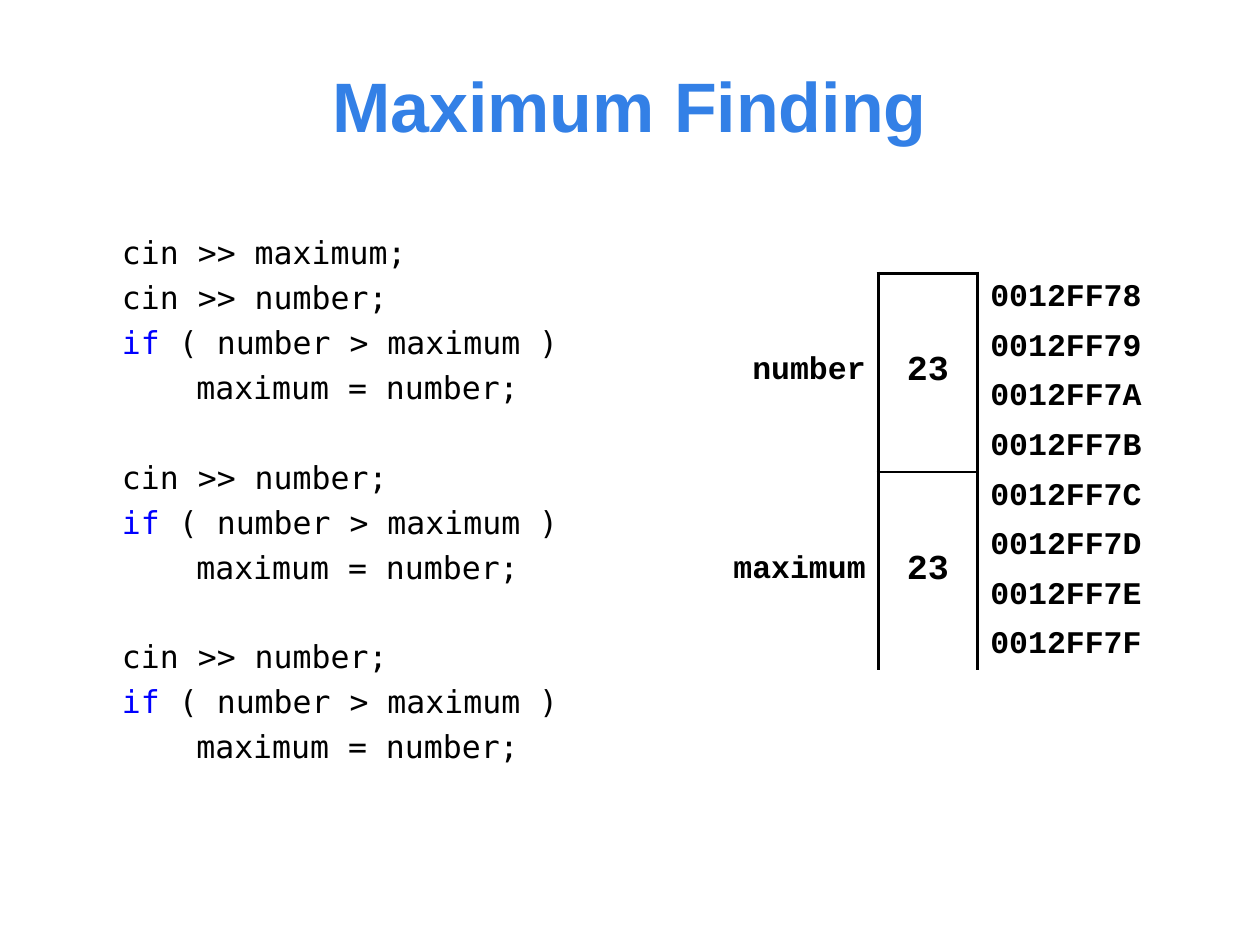
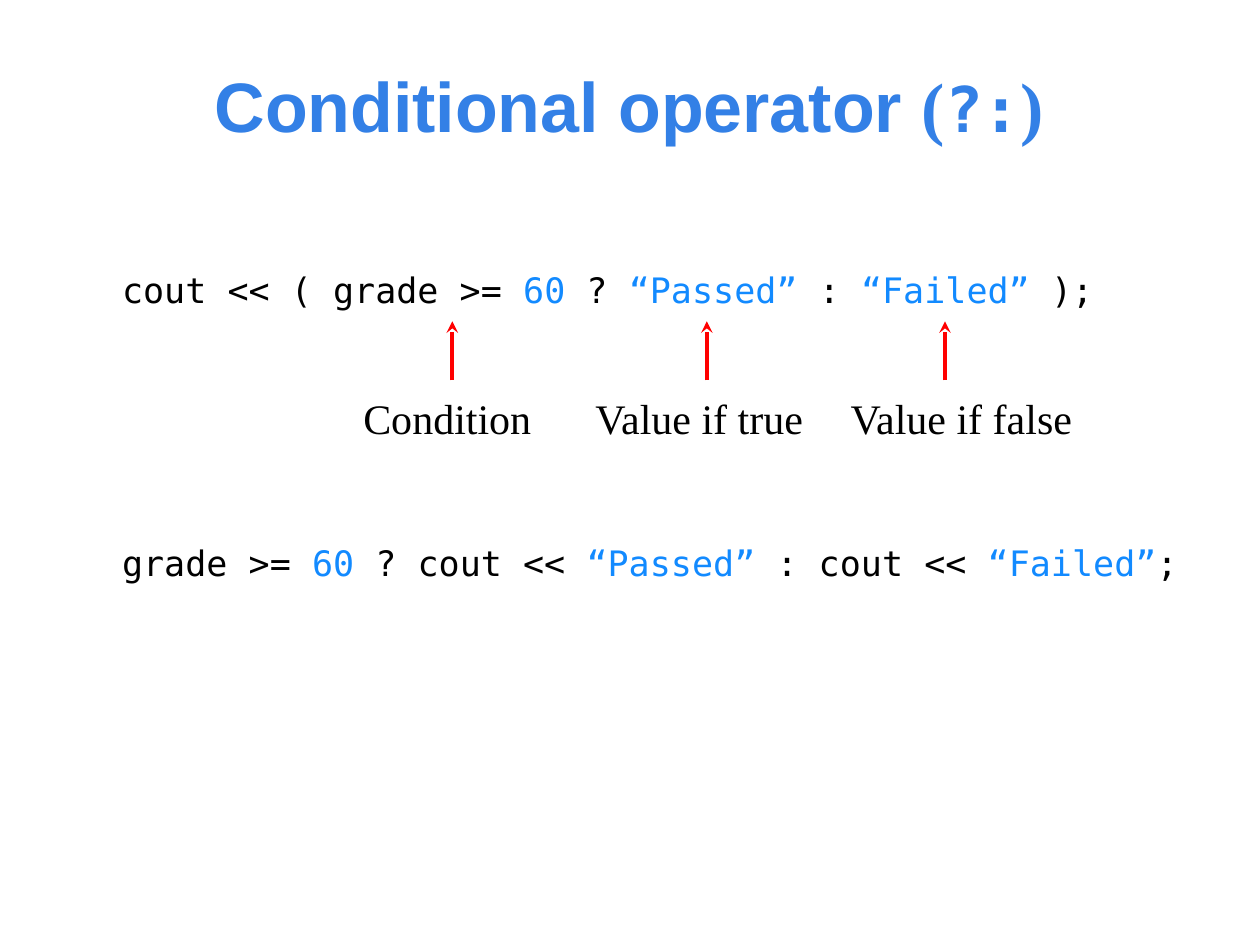
from dataclasses import dataclass

from lxml import etree
from pptx import Presentation
from pptx.dml.color import RGBColor
from pptx.enum.shapes import MSO_CONNECTOR
from pptx.enum.text import MSO_ANCHOR, PP_ALIGN
from pptx.oxml.ns import qn
from pptx.util import Inches, Pt

LEFT, CENTER, RIGHT = PP_ALIGN.LEFT, PP_ALIGN.CENTER, PP_ALIGN.RIGHT
TOP, MIDDLE = MSO_ANCHOR.TOP, MSO_ANCHOR.MIDDLE
STRAIGHT = MSO_CONNECTOR.STRAIGHT


@dataclass(frozen=True)
class Theme:
    title: str = "3380E6"
    ink: str = "000000"
    key: str = "0000FF"
    value: str = "128AFF"
    arrow: str = "FF0000"
    sans: str = "Arial"
    serif: str = "Times New Roman"
    mono: str = "DejaVu Sans Mono"
    cells: str = "Courier New"
    head: int = 40
    sign: int = 36
    label: int = 24
    large: int = 20
    code: int = 18
    thick: float = 2.25
    thin: float = 1


T = Theme()

# Content: a line is a list of (text, colour) pieces
TEST = [
    [("cin >> number;", T.ink)],
    [("if", T.key), (" ( number > maximum )", T.ink)],
    [("\tmaximum = number;", T.ink)],
]
BLOCKS = [[[("cin >> maximum;", T.ink)]] + TEST, TEST, TEST]

ROWS = 4
CELLS = [("number", "23"), ("maximum", "23")]
ADDRESSES = [f"0012FF{byte:02X}" for byte in range(0x78, 0x80)]

PRINTS = [
    (2.08, [("cout << ( grade >= ", T.ink), ("60", T.value), (" ? ", T.ink),
            ("“Passed”", T.value), (" : ", T.ink), ("“Failed”", T.value),
            (" );", T.ink)]),
    (4.25, [("grade >= ", T.ink), ("60", T.value), (" ? cout << ", T.ink),
            ("“Passed”", T.value), (" : cout << ", T.ink),
            ("“Failed”", T.value), (";", T.ink)]),
]
# Label, left of its box, x of its arrow
PARTS = [("Condition", 2.55, 3.59), ("Value if true", 4.55, 5.61),
         ("Value if false", 6.63, 7.5)]


def style(font, name=None, size=None, color=None, bold=None):
    if name:
        font.name = name
    if size:
        font.size = Pt(size)
    if color:
        font.color.rgb = RGBColor.from_string(color)
    if bold is not None:
        font.bold = bold


def add_box(slide, left, top, width, height, anchor=TOP):
    frame = slide.shapes.add_textbox(*map(Inches, (left, top, width, height))).text_frame
    frame.word_wrap = True
    frame.vertical_anchor = anchor
    return frame


def add_title(slide, pieces):
    """Pieces are (text, font, size)."""
    para = add_box(slide, 0.27, 0.24, 9.45, 1.18, MIDDLE).paragraphs[0]
    para.alignment = CENTER
    style(para.font, color=T.title, bold=True)
    for text, name, size in pieces:
        run = para.add_run()
        run.text = text
        style(run.font, name, size, T.title, True)


def fill_code(para, pieces, size):
    style(para.font, T.mono, size)
    for text, color in pieces:
        run = para.add_run()
        run.text = text
        style(run.font, T.mono, size, color)


def add_blocks(slide):
    frame = add_box(slide, 0.87, 1.8, 3.74, 4.33)
    gap, skip = Pt(4.2), Pt(29.35)
    para = None
    for block in BLOCKS:
        for row, pieces in enumerate(block):
            if para is None:
                para = frame.paragraphs[0]
            else:
                para = frame.add_paragraph()
                para.space_before = gap if row else skip
            props = para._p.get_or_add_pPr()
            props.set("marL", str(Inches(0.59)))
            props.set("indent", str(-Inches(0.59)))
            fill_code(para, pieces, T.code)


def edge(cell, sides):
    """Draw the sides given as {side: points}; leave the others bare."""
    props = cell._tc.get_or_add_tcPr()
    for side in "LRTB":
        line = etree.SubElement(props, qn(f"a:ln{side}"))
        if side in sides:
            line.set("w", str(Pt(sides[side])))
            fill = etree.SubElement(line, qn("a:solidFill"))
            etree.SubElement(fill, qn("a:srgbClr")).set("val", T.ink)
        else:
            etree.SubElement(line, qn("a:noFill"))
    cell.fill.background()


def sides_of(row, col):
    if col == 0:
        return {"R": T.thick}
    if col == 2:
        return {"L": T.thick}
    sides = {"L": T.thick, "R": T.thick}
    if row % ROWS == 0:
        sides["T"] = T.thin if row else T.thick
    if row % ROWS == ROWS - 1:
        sides["B"] = T.thick if row == len(ADDRESSES) - 1 else T.thin
    return sides


def fill_cell(cell, text, size, align, pads):
    cell.margin_left, cell.margin_top, cell.margin_right, cell.margin_bottom = map(Inches, pads)
    cell.vertical_anchor = MIDDLE
    para = cell.text_frame.paragraphs[0]
    para.alignment = align
    para.text = text
    style(para.font, T.cells, size, T.ink, True)


def add_memory(slide):
    count, widths, height = len(ADDRESSES), (1.38, 0.79, 1.38), 3.15
    table = slide.shapes.add_table(
        count, len(widths), Inches(5.59), Inches(2.17),
        Inches(sum(widths)), Inches(height)).table
    table.first_row = table.horz_banding = False
    for col, width in zip(table.columns, widths):
        col.width = Inches(width)
    for row, address in enumerate(ADDRESSES):
        table.rows[row].height = Inches(height / count)
        for col in range(len(widths)):
            edge(table.cell(row, col), sides_of(row, col))
        fill_cell(table.cell(row, 2), address, T.code, LEFT, (0.1, 0.04, 0.08, 0.04))
    looks = ((T.code, RIGHT), (T.large, CENTER))
    for index, texts in enumerate(CELLS):
        first = index * ROWS
        for col, (text, (size, align)) in enumerate(zip(texts, looks)):
            cell = table.cell(first, col)
            cell.merge(table.cell(first + ROWS - 1, col))
            fill_cell(cell, text, size, align, (0.1, 0, 0.1, 0.02))


def add_arrow(slide, x, start, end):
    arrow = slide.shapes.add_connector(
        STRAIGHT, Inches(x), Inches(start), Inches(x), Inches(end))
    arrow.line.color.rgb = RGBColor.from_string(T.arrow)
    arrow.line.width = Pt(T.thick)
    etree.SubElement(arrow.line._get_or_add_ln(), qn("a:tailEnd")).set("type", "stealth")
    etree.SubElement(arrow._element.spPr, qn("a:effectLst"))


def add_parts(slide):
    for text, left, x in PARTS:
        para = add_box(slide, left, 3.07, 2, 0.5).paragraphs[0]
        para.alignment = CENTER
        para.text = text
        style(para.font, T.serif, T.label, T.ink)
        add_arrow(slide, x, 3.02, 2.55)


def main():
    deck = Presentation()
    deck.slide_width, deck.slide_height = Inches(10), Inches(7.5)
    blank = deck.slide_layouts[6]

    slide = deck.slides.add_slide(blank)
    add_title(slide, [("Maximum Finding", T.sans, T.head)])
    add_blocks(slide)
    add_memory(slide)

    slide = deck.slides.add_slide(blank)
    add_title(slide, [("Conditional operator ", T.sans, T.head), ("(", T.serif, T.head),
                      ("?:", T.mono, T.sign), (")", T.serif, T.head)])
    for top, pieces in PRINTS:
        fill_code(add_box(slide, 0.87, top, 8.85, 0.45).paragraphs[0], pieces, T.large)
    add_parts(slide)

    deck.save("out.pptx")


if __name__ == "__main__":
    main()
